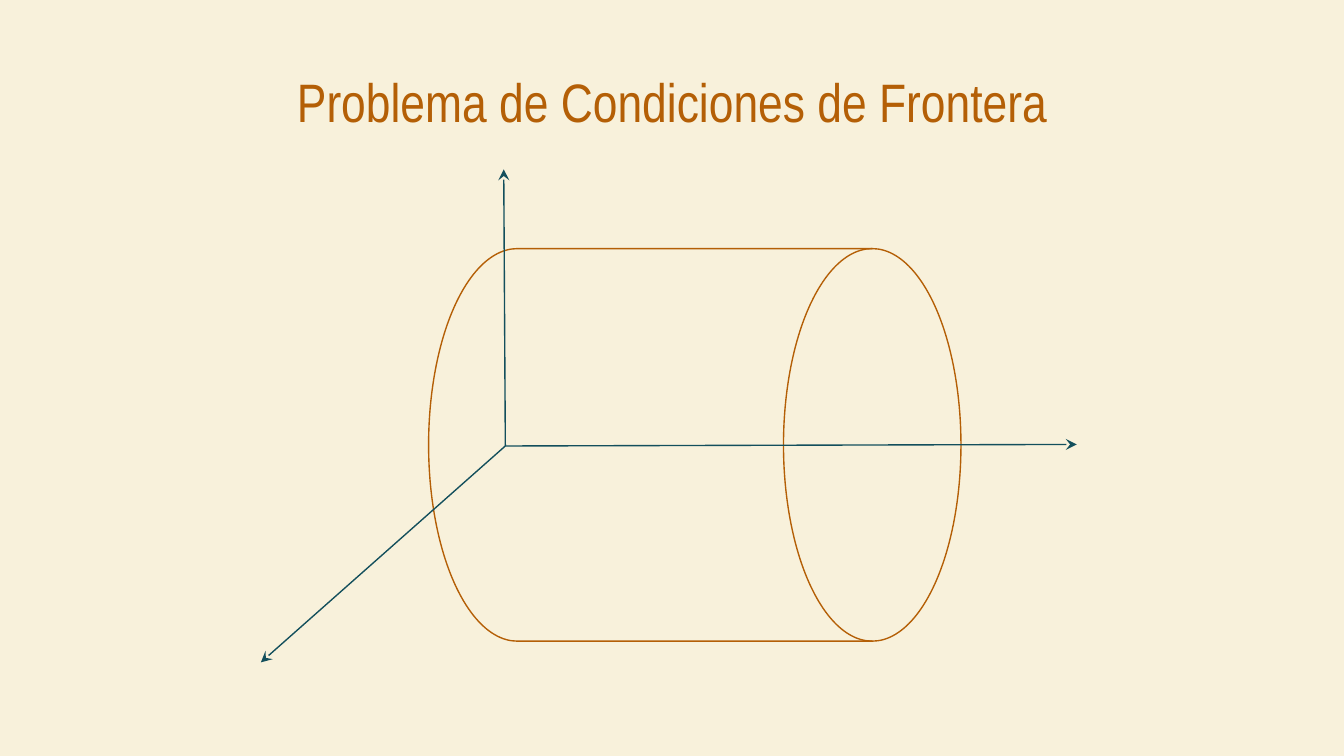
from lxml import etree
from pptx import Presentation
from pptx.dml.color import RGBColor
from pptx.enum.shapes import MSO_CONNECTOR, MSO_SHAPE
from pptx.enum.text import MSO_ANCHOR, PP_ALIGN
from pptx.oxml.ns import qn
from pptx.util import Cm, Pt

DISK = MSO_SHAPE.FLOWCHART_MAGNETIC_DISK
LINE = MSO_CONNECTOR.STRAIGHT
CENTER = PP_ALIGN.CENTER
MIDDLE = MSO_ANCHOR.MIDDLE

COLORS = {"cream": "F8F1DB", "rust": "B45F06", "teal": "134F5C"}
FONT = "Arial Narrow"


def color(name):
    return RGBColor.from_string(COLORS[name])


def stroke(line, name):
    line.color.rgb = color(name)
    line.width = Pt(0.75)


def set_title(slide, text):
    title = slide.shapes.title
    title.left, title.top = Cm(2.36), Cm(1.04)
    title.width, title.height = Cm(20.7), Cm(1.73)
    frame = title.text_frame
    frame.word_wrap = True
    frame.vertical_anchor = MIDDLE
    frame.margin_left = frame.margin_right = Cm(0.25)
    frame.margin_top = frame.margin_bottom = Cm(0.25)
    para = frame.paragraphs[0]
    para.alignment = CENTER
    para.line_spacing = 1.0
    run = para.add_run()
    run.text = text
    run.font.name = FONT
    run.font.size = Pt(29)
    run.font.color.rgb = color("rust")


def add_drum(slide, left, top, width, height):
    # The upright disk is turned to lie on its side
    drum = slide.shapes.add_shape(DISK, Cm(left), Cm(top), Cm(width), Cm(height))
    drum.rotation = 90
    drum.shadow.inherit = False
    drum.fill.background()
    stroke(drum.line, "rust")


def add_axis(slide, start, end):
    axis = slide.shapes.add_connector(LINE, *map(Cm, start + end))
    stroke(axis.line, "teal")
    # Arrowhead at the far end, no shadow
    tail = etree.SubElement(axis.line._get_or_add_ln(), qn("a:tailEnd"))
    tail.set("type", "stealth")
    etree.SubElement(axis._element.spPr, qn("a:effectLst"))


def main():
    deck = Presentation()
    deck.slide_width, deck.slide_height = Cm(25.4), Cm(14.29)
    slide = deck.slides.add_slide(deck.slide_layouts[5])
    back = slide.background.fill
    back.solid()
    back.fore_color.rgb = color("cream")

    set_title(slide, "Problema de Condiciones de Frontera")
    add_drum(slide, 9.42, 3.38, 7.42, 10.06)

    # Three axes from one origin
    origin = (9.55, 8.43)
    for tip in ((20.35, 8.4), (9.52, 3.2), (4.93, 12.52)):
        add_axis(slide, origin, tip)

    deck.save("out.pptx")


if __name__ == "__main__":
    main()
